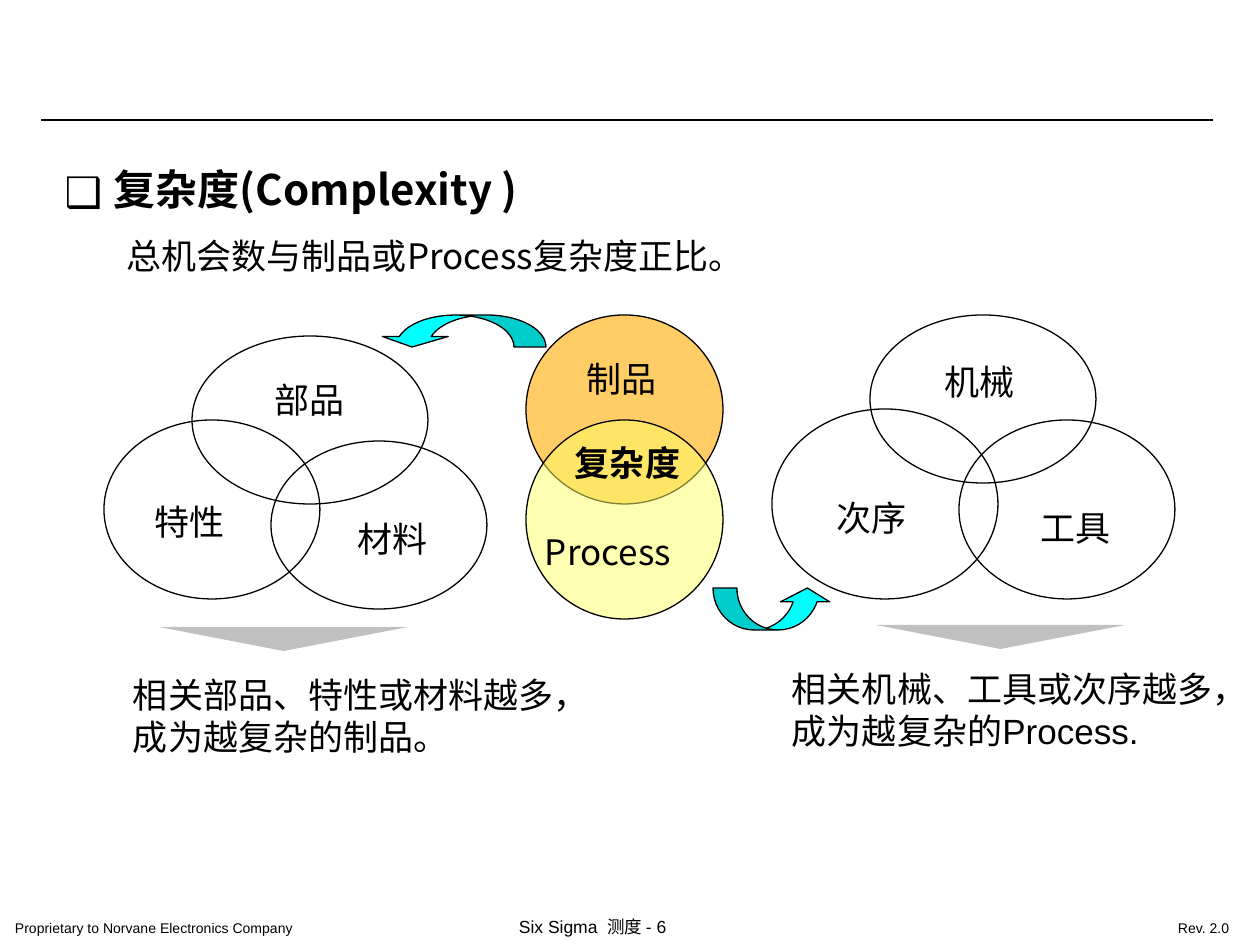
import pptx
import pptx.dml.color
import pptx.enum.shapes
import pptx.enum.text
import pptx.oxml
import pptx.oxml.ns
import pptx.util

EMU_PER_PX = 914400 // 126
BLACK = pptx.dml.color.RGBColor(0, 0, 0)
ORANGE = pptx.dml.color.RGBColor(0xFF, 0xCC, 0x66)
YELLOW = pptx.dml.color.RGBColor(0xFF, 0xFF, 0x66)
CYAN = pptx.dml.color.RGBColor(0, 0xFF, 0xFF)
GRAY = pptx.dml.color.RGBColor(0xC0, 0xC0, 0xC0)
CJK = "Noto Sans CJK SC"
LATIN = "Arial"
KIND = pptx.enum.shapes.MSO_SHAPE


def px(*lengths):
    """Turn lengths in px into EMU."""
    return [pptx.util.Emu(length * EMU_PER_PX) for length in lengths]


def add_xml(parent, tag, **attributes):
    """Append an element of the drawing namespace."""
    child = pptx.oxml.parse_xml(f"<a:{tag} {pptx.oxml.ns.nsdecls('a')}/>")
    for key, value in attributes.items():
        child.set(key, str(value))
    parent.append(child)


def style(paragraph, size, face, bold=False):
    """Set the font of a whole paragraph."""
    font = paragraph.font
    font.size = pptx.util.Pt(size)
    font.bold = bold
    font.color.rgb = BLACK
    font.name = face
    add_xml(font._element, "ea", typeface=CJK)


def add_text(slide, box, lines, size=20, face=CJK, bold=False, wrap=False, inset=(13, 6)):
    """Add a text box with one paragraph for each line."""
    frame = slide.shapes.add_textbox(*px(*box)).text_frame
    frame.word_wrap = wrap
    frame.margin_left = frame.margin_right = px(inset[0])[0]
    frame.margin_top = frame.margin_bottom = px(inset[1])[0]
    frame.text = "\n".join(lines)
    for paragraph in frame.paragraphs:
        style(paragraph, size, face, bold)


def add_figure(slide, kind, box, fill=None, outlined=True, alpha=None):
    """Add a preset shape, optionally filled and outlined."""
    figure = slide.shapes.add_shape(kind, *px(*box))
    figure.shadow.inherit = False
    if fill is None:
        figure.fill.background()
    else:
        figure.fill.solid()
        figure.fill.fore_color.rgb = fill
    if alpha is not None:
        color = figure.fill._xPr.find(".//" + pptx.oxml.ns.qn("a:srgbClr"))
        add_xml(color, "alpha", val=alpha * 1000)
    if outlined:
        figure.line.color.rgb = BLACK
        figure.line.width = pptx.util.Pt(0.75)
    else:
        figure.line.fill.background()
    return figure


def add_curved_arrow(slide, box, shaft, head, rotation=0):
    """Add a curved arrow with its shaft and head widths relative to its height."""
    arrow = add_figure(slide, KIND.CURVED_UP_ARROW, box, CYAN)
    arrow.rotation = rotation
    for index, value in enumerate((shaft, head, 0.33)):
        arrow.adjustments[index] = value


def add_rule(slide, left, right, y):
    """Add the horizontal line under the header area."""
    rule = slide.shapes.add_connector(
        pptx.enum.shapes.MSO_CONNECTOR.STRAIGHT, *px(left, y, right, y))
    rule.line.color.rgb = BLACK
    rule.line.width = pptx.util.Pt(1.5)
    add_xml(rule._element.spPr, "effectLst")


def set_title(slide):
    """Fill the title with the bulleted heading and its statement."""
    title = slide.shapes.title
    title.left, title.top, title.width, title.height = px(52, 132, 1158, 151)
    frame = title.text_frame
    frame.text = " \n总机会数与制品或Process复杂度正比。"
    frame.auto_size = pptx.enum.text.MSO_AUTO_SIZE.NONE
    frame.vertical_anchor = pptx.enum.text.MSO_ANCHOR.TOP
    heading, statement = frame.paragraphs
    name = heading.add_run()
    name.text = "复杂度(Complexity )"
    name.font.bold = True
    for paragraph, size, margin, indent in ((heading, 24, 40, -40), (statement, 20, 62, 0)):
        paragraph.alignment = pptx.enum.text.PP_ALIGN.LEFT
        paragraph.line_spacing = 1.5
        properties = paragraph._p.get_or_add_pPr()
        properties.set("marL", str(px(margin)[0]))
        properties.set("indent", str(px(indent)[0]))
        if paragraph is heading:
            add_xml(properties, "buFont", typeface=CJK)
            add_xml(properties, "buChar", char="❑")
        style(paragraph, size, CJK)


def add_footer(slide):
    """Add the three footer texts."""
    for box, line, size in (
        ((0, 912, 404, 32), "Proprietary to Norvane Electronics Company", 8),
        ((504, 908, 257, 37), "Six Sigma  测度 - 6", 10),
        ((1163, 912, 83, 32), "Rev. 2.0", 8),
    ):
        add_text(slide, box, [line], size, LATIN, inset=(15, 8))


def add_circles(slide):
    """Add the two groups of three circles and the central pair, with labels."""
    for box in (
        (271, 441, 216, 168), (104, 420, 216, 179), (192, 336, 236, 168),
        (959, 420, 216, 179), (772, 409, 226, 190), (870, 315, 226, 168),
    ):
        add_figure(slide, KIND.OVAL, box)
    add_figure(slide, KIND.OVAL, (526, 315, 197, 189), ORANGE)
    add_figure(slide, KIND.OVAL, (526, 420, 197, 199), YELLOW, alpha=50)
    for left, top, label in (
        (262, 372, "部品"), (142, 495, "特性"), (345, 511, "材料"),
        (932, 354, "机械"), (1028, 501, "工具"), (824, 490, "次序"),
        (574, 351, "制品"),
    ):
        add_text(slide, (left, top, 102, 55), [label])
    add_text(slide, (532, 524, 173, 55), ["Process"], wrap=True)
    add_text(slide, (562, 435, 138, 55), ["复杂度"], bold=True)


def main():
    """Build and save the slide."""
    deck = pptx.Presentation()
    deck.slide_width, deck.slide_height = px(1260, 945)
    slide = deck.slides.add_slide(deck.slide_layouts[5])
    add_footer(slide)
    add_rule(slide, 41, 1213, 120)
    set_title(slide)
    add_circles(slide)
    add_curved_arrow(slide, (379, 315, 167, 32), 1.08, 2.06, rotation=180)
    add_curved_arrow(slide, (713, 588, 119, 42), 0.57, 1.17)
    for left, top in ((159, 627), (876, 625)):
        triangle = add_figure(
            slide, KIND.ISOSCELES_TRIANGLE, (left, top, 249, 24), GRAY, outlined=False)
        triangle.rotation = 180
    add_text(slide, (120, 667, 485, 97), ["相关部品、特性或材料越多，", "成为越复杂的制品。"])
    add_text(slide, (779, 662, 470, 139),
             ["相关机械、工具或次序越多，", "成为越复杂的Process."], face=LATIN, wrap=True)
    deck.save("out.pptx")


if __name__ == "__main__":
    main()
